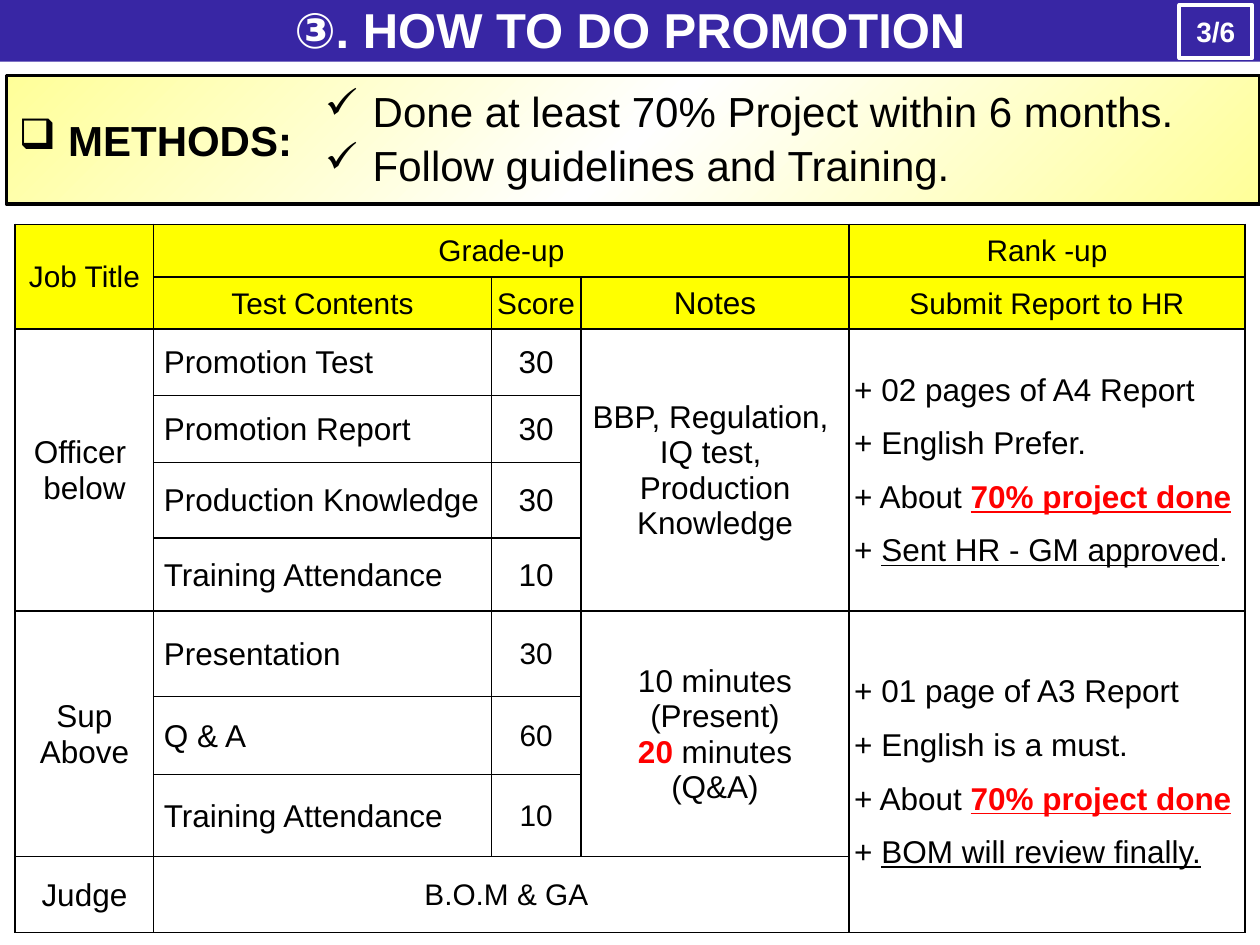
from copy import deepcopy
from dataclasses import dataclass

from pptx import Presentation
from pptx.dml.color import RGBColor
from pptx.enum.shapes import MSO_SHAPE
from pptx.enum.text import MSO_ANCHOR, MSO_AUTO_SIZE, PP_ALIGN as Align
from pptx.oxml import parse_xml
from pptx.oxml.ns import nsdecls
from pptx.oxml.xmlchemy import OxmlElement
from pptx.util import Inches, Pt

BLACK = RGBColor(0x00, 0x00, 0x00)
WHITE = RGBColor(0xFF, 0xFF, 0xFF)
RED = RGBColor(0xFF, 0x00, 0x00)
YELLOW = RGBColor(0xFF, 0xFF, 0x00)
PALE_YELLOW = RGBColor(0xFF, 0xFF, 0x99)
INDIGO = RGBColor(0x38, 0x26, 0xA4)
FONT = "Arial"

COLUMNS = (1.1, 2.68, 0.71, 2.13, 3.14)
ROWS = (0.42, 0.41, 0.53, 0.53, 0.6, 0.58, 0.68, 0.62, 0.65, 0.6)
HEADER_ROWS = 2


@dataclass(frozen=True)
class Run:
    text: str
    color: RGBColor = BLACK
    bold: bool = False
    underline: bool = False


@dataclass(frozen=True)
class Cell:
    row: int
    col: int
    paragraphs: tuple
    row_span: int = 1
    col_span: int = 1
    size: float = 18
    align: Align = Align.CENTER
    margin: float = 0.01
    indent: float = 0
    gap: float = 0


def heading(row: int, col: int, text: str, **options) -> Cell:
    return Cell(row, col, (text,), **{"size": 17, **options})


def report(row: int, *paragraphs) -> Cell:
    return Cell(row, 4, paragraphs, row_span=4, align=Align.LEFT, margin=0.04, gap=10.5)


def tests(first_row: int, size: float, *items: tuple[str, str]) -> list[Cell]:
    cells = []
    for row, (name, score) in enumerate(items, first_row):
        cells.append(Cell(row, 1, (name,), align=Align.LEFT, margin=0.04, indent=0.04))
        cells.append(Cell(row, 2, (score,), size=size))
    return cells


PROJECT_DONE = ("+ About ", Run("70% project done", RED, True, True))

CELLS = [
    heading(0, 0, "Job Title", row_span=2),
    heading(0, 1, "Grade-up", col_span=3),
    heading(0, 4, "Rank -up"),
    heading(1, 1, "Test Contents"),
    heading(1, 2, "Score"),
    heading(1, 3, "Notes", size=18),
    heading(1, 4, "Submit Report to HR"),
    Cell(2, 0, ("Officer ", "below"), row_span=4),
    *tests(2, 18, ("Promotion Test", "30"), ("Promotion Report", "30"),
           ("Production Knowledge", "30"), ("Training Attendance", "10")),
    Cell(2, 3, ("BBP, Regulation, ", "IQ test, ", "Production Knowledge"), row_span=4),
    report(2, "+ 02 pages of A4 Report", "+ English Prefer.", PROJECT_DONE,
           ("+ ", Run("Sent HR - GM approved", underline=True), ".")),
    Cell(6, 0, ("Sup Above",), row_span=3),
    *tests(6, 17, ("Presentation", "30"), ("Q & A", "60"), ("Training Attendance", "10")),
    Cell(6, 3, ("10 minutes", "(Present)", (Run("20", RED, True), " minutes"), "(Q&A)"),
         row_span=3),
    report(6, "+ 01 page of A3 Report", "+ English is a must.", PROJECT_DONE,
           ("+ ", Run("BOM will review finally.", underline=True))),
    Cell(9, 0, ("Judge",)),
    Cell(9, 1, ("B.O.M & GA",), col_span=3, size=17, indent=0.08),
]


def add_run(p, run: Run, size: float) -> None:
    r = p.add_run()
    r.text = run.text
    font = r.font
    font.name, font.size = FONT, Pt(size)
    font.bold, font.underline = run.bold, run.underline
    font.color.rgb = run.color


def write(tf, text: str, *, size: float, color: RGBColor = BLACK, bold: bool = False,
          align: Align = Align.LEFT, bullet: str = "", hanging: float = 0,
          anchor: MSO_ANCHOR = MSO_ANCHOR.MIDDLE, wrap: bool = True) -> None:
    tf.word_wrap = wrap
    tf.auto_size = MSO_AUTO_SIZE.NONE
    tf.vertical_anchor = anchor
    p = tf.paragraphs[0]
    p.alignment = align
    add_run(p, Run(text, color, bold), size)
    if bullet:
        pPr = p._p.get_or_add_pPr()
        pPr.set("marL", str(Inches(hanging)))
        pPr.set("indent", str(-Inches(hanging)))
        mark = OxmlElement("a:buChar")
        mark.set("char", bullet)
        pPr.append(mark)


def add_box(s, left: float, top: float, width: float, height: float,
            line: RGBColor, line_width: float):
    sp = s.shapes.add_shape(MSO_SHAPE.RECTANGLE, Inches(left), Inches(top),
                            Inches(width), Inches(height))
    sp.shadow.inherit = False
    sp.line.color.rgb = line
    sp.line.width = Pt(line_width)
    return sp


def fill_gradient(sp, edge: RGBColor, middle: RGBColor) -> None:
    fill = sp.fill
    fill.gradient()
    fill.gradient_angle = 315
    for stop in fill.gradient_stops:
        stop.color.rgb = edge
    first = fill.gradient_stops[0]._gs
    first.addnext(deepcopy(first))
    center = fill.gradient_stops[1]
    center.position = 0.5
    center.color.rgb = middle


def add_borders(cell) -> None:
    tcPr = cell._tc.get_or_add_tcPr()
    for i, side in enumerate(("lnL", "lnR", "lnT", "lnB")):
        tcPr.insert(i, parse_xml(
            f'<a:{side} {nsdecls("a")} w="{Pt(1)}"><a:solidFill>'
            f'<a:srgbClr val="{BLACK}"/></a:solidFill></a:{side}>'))


def fill_cell(table, item: Cell) -> None:
    cell = table.cell(item.row, item.col)
    if item.row_span * item.col_span > 1:
        cell.merge(table.cell(item.row + item.row_span - 1, item.col + item.col_span - 1))
    cell.vertical_anchor = MSO_ANCHOR.MIDDLE
    cell.margin_left = Inches(item.margin)
    cell.margin_right = cell.margin_top = Inches(0.01)
    cell.margin_bottom = 0
    tf = cell.text_frame
    for i, content in enumerate(item.paragraphs):
        p = tf.add_paragraph() if i else tf.paragraphs[0]
        p.alignment = item.align
        if i and item.gap:
            p.space_before = Pt(item.gap)
        if item.indent:
            p._p.get_or_add_pPr().set("marL", str(Inches(item.indent)))
        for part in (content,) if isinstance(content, str) else content:
            add_run(p, Run(part) if isinstance(part, str) else part, item.size)


def add_promotion_table(s) -> None:
    table = s.shapes.add_table(len(ROWS), len(COLUMNS), Inches(0.12), Inches(1.78),
                               Inches(sum(COLUMNS)), Inches(sum(ROWS))).table
    table.first_row = table.horz_banding = False
    for column, width in zip(table.columns, COLUMNS):
        column.width = Inches(width)
    for i, (row, height) in enumerate(zip(table.rows, ROWS)):
        row.height = Inches(height)
        for cell in row.cells:
            cell.fill.solid()
            cell.fill.fore_color.rgb = YELLOW if i < HEADER_ROWS else WHITE
            add_borders(cell)
    for item in CELLS:
        fill_cell(table, item)


def main() -> None:
    prs = Presentation()
    prs.slide_width, prs.slide_height = Inches(10), Inches(7.5)
    s = prs.slides.add_slide(prs.slide_layouts[5])

    title = s.shapes.title
    title.left, title.top = Inches(0), Inches(-0.03)
    title.width, title.height = Inches(10), Inches(0.52)
    title.fill.solid()
    title.fill.fore_color.rgb = INDIGO
    write(title.text_frame, "③. HOW TO DO PROMOTION", size=28, color=WHITE, bold=True,
          align=Align.CENTER)

    add_promotion_table(s)

    methods = add_box(s, 0.05, 0.6, 9.95, 1.02, BLACK, 2)
    fill_gradient(methods, PALE_YELLOW, WHITE)
    write(methods.text_frame, " METHODS:", size=24, bold=True, bullet="❑", hanging=0.3)

    steps = ("Done at least 70% Project within 6 months.", "Follow guidelines and Training.")
    for i, step in enumerate(steps):
        tb = s.shapes.add_textbox(Inches(2.48), Inches(0.63 + 0.43 * i), Inches(7.52), Inches(0.5))
        write(tb.text_frame, step, size=24, bullet="✓", hanging=0.38, anchor=MSO_ANCHOR.TOP)

    page = add_box(s, 9.36, 0.04, 0.58, 0.42, WHITE, 2.25)
    page.fill.solid()
    page.fill.fore_color.rgb = INDIGO
    write(page.text_frame, "3/6", size=16, color=WHITE, bold=True, align=Align.CENTER, wrap=False)

    prs.save("out.pptx")


if __name__ == "__main__":
    main()
